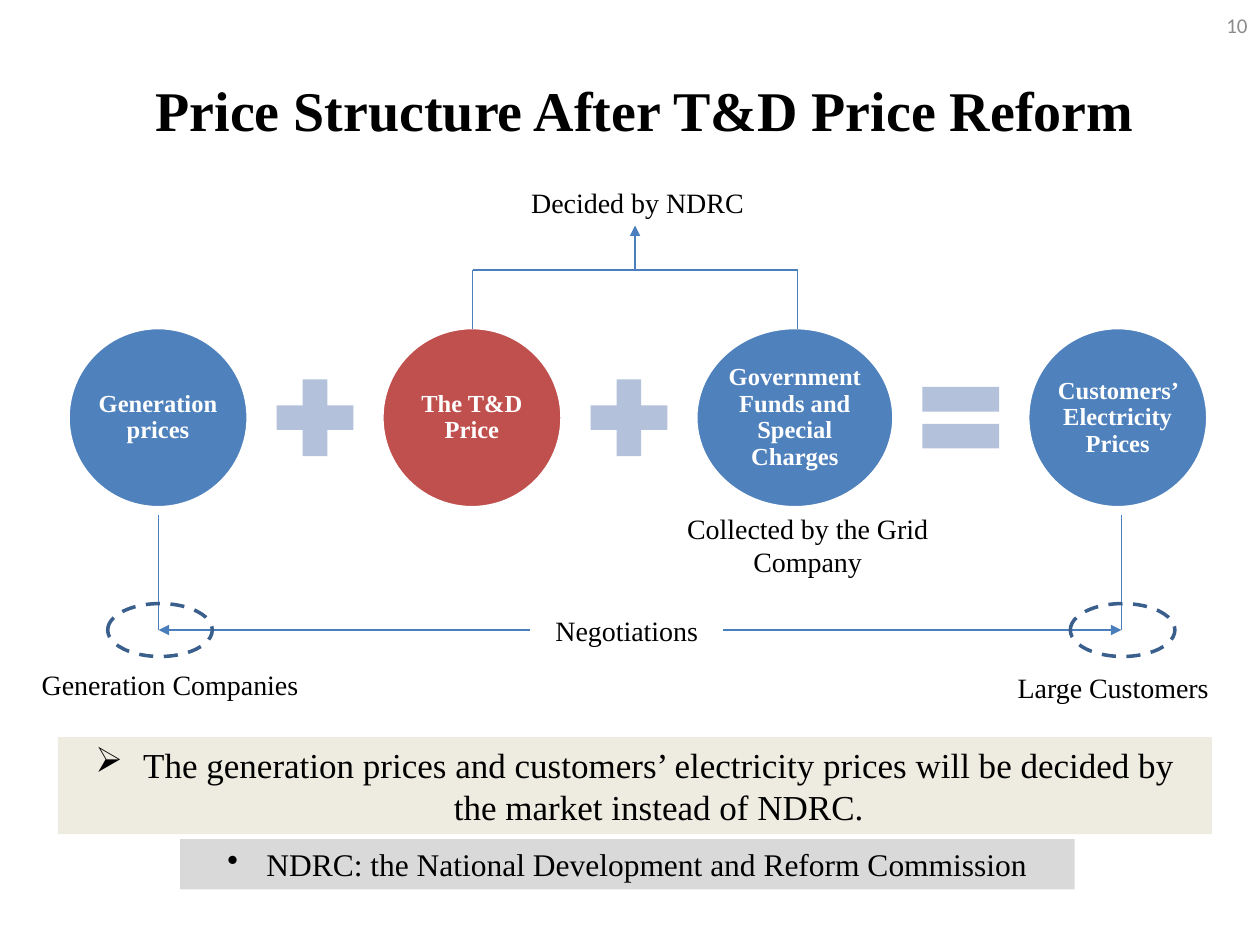
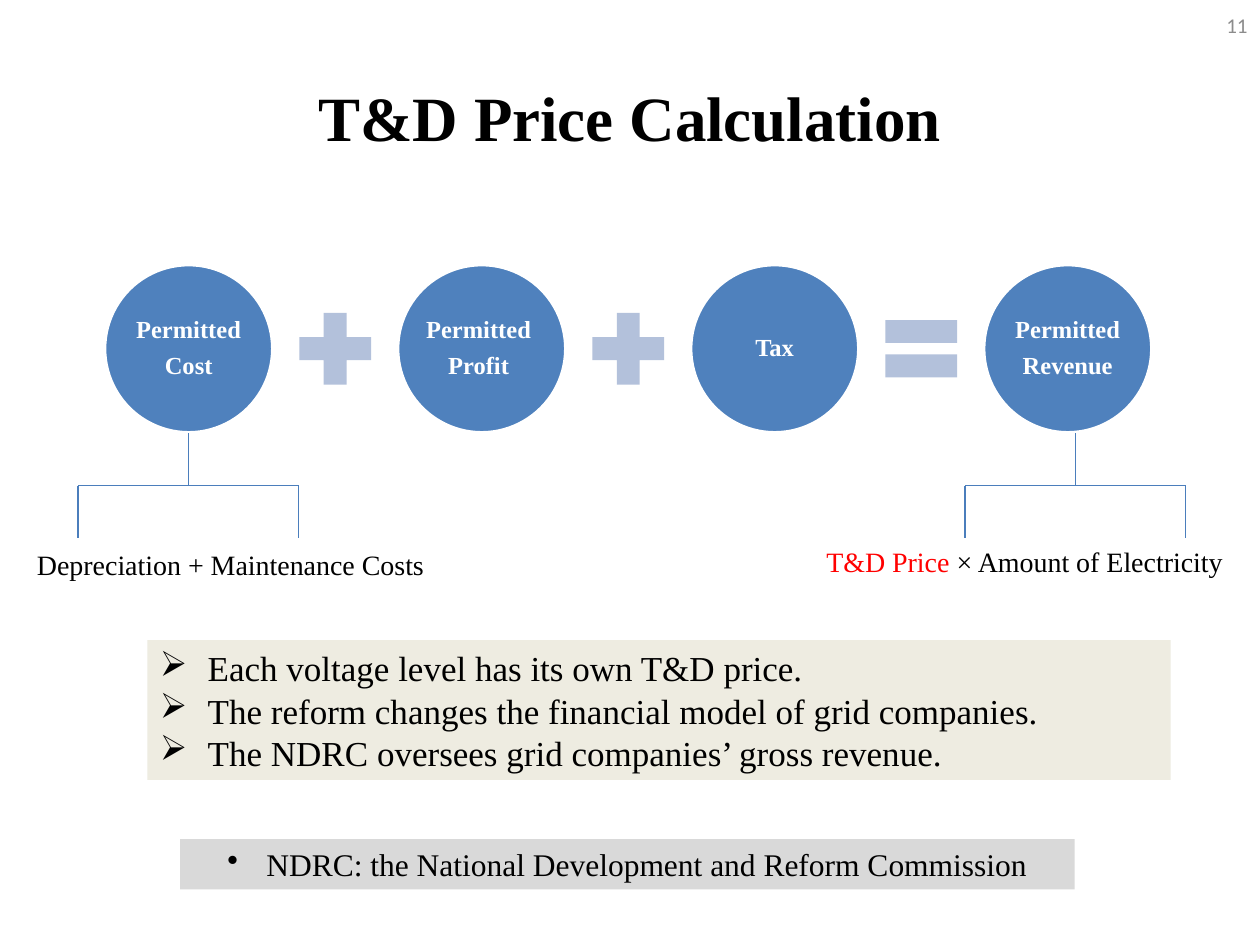
from dataclasses import dataclass

from lxml import etree
from pptx import Presentation, util as u
from pptx.dml.color import RGBColor
from pptx.enum import dml, shapes, text
from pptx.oxml.ns import qn

CELL = u.Inches(0.1)  # the slide is a grid of 100 columns by 75 rows
COLUMNS, ROWS = 100, 75


@dataclass(frozen=True)
class Theme:
    serif: str = "Times New Roman"
    sans: str = "Calibri"
    ink: str = "000000"
    white: str = "FFFFFF"
    blue: str = "4F81BD"
    red: str = "C0504D"
    accent: str = "FF0000"
    sign: str = "B3C1DB"
    line: str = "4B7EBC"
    dash: str = "3A5F8C"
    number: str = "8C8C8C"
    sand: str = "EEECE1"
    grey: str = "D9D9D9"
    number_size: int = 12
    term_size: int = 14
    label_size: int = 16
    note_size: int = 18
    point_size: int = 20


THEME = Theme()


@dataclass(frozen=True)
class Box:
    """A rectangle in grid columns and rows."""
    left: float
    top: float
    width: float
    height: float

    @property
    def right(self):
        return self.left + self.width

    @property
    def bottom(self):
        return self.top + self.height

    @property
    def middle(self):
        return self.left + self.width / 2

    def emu(self):
        return [round(n * CELL) for n in (self.left, self.top, self.width, self.height)]


def centred(x, y, width, height):
    return Box(x - width / 2, y - height / 2, width, height)


def rgb(code):
    return RGBColor.from_string(code)


def style_span(span, size, color=THEME.ink, bold=False, font=THEME.serif):
    span.font.name, span.font.size = font, u.Pt(size)
    span.font.bold, span.font.color.rgb = bold, rgb(color)


def write(frame, lines, size, align=text.PP_ALIGN.CENTER, **look):
    frame.word_wrap = True
    frame.text = "\n".join(lines)
    for para in frame.paragraphs:
        para.alignment = align
        for span in para.runs:
            style_span(span, size, **look)
    return frame.paragraphs


def add_label(page, box, words, size=THEME.label_size, **look):
    frame = page.shapes.add_textbox(*box.emu()).text_frame
    return write(frame, [words], size, **look)[0]


def add_figure(page, kind, box, fill=None, outline=None):
    figure = page.shapes.add_shape(kind, *box.emu())
    figure.shadow.inherit = False
    if fill:
        figure.fill.solid()
        figure.fill.fore_color.rgb = rgb(fill)
    else:
        figure.fill.background()
    if outline:
        figure.line.color.rgb = rgb(outline)
        figure.line.width = u.Pt(2)
    else:
        figure.line.fill.background()
    return figure


def add_line(page, start, end, arrow=False):
    """Draw a thin line; an arrow points at its end."""
    ends = [round(n * CELL) for n in (*start, *end)]
    line = page.shapes.add_connector(shapes.MSO_CONNECTOR.STRAIGHT, *ends)
    line.line.color.rgb = rgb(THEME.line)
    line.line.width = u.Pt(0.75)
    props = line.element.spPr
    if arrow:
        etree.SubElement(props.find(qn("a:ln")), qn("a:tailEnd"), type="triangle")
    etree.SubElement(props, qn("a:effectLst"))


def add_bracket(page, box, bar_share, arrow=False):
    """Draw a stem at the top centre of the box and two legs below a bar."""
    bar = box.top + box.height * bar_share
    add_line(page, (box.left, bar), (box.right, bar))
    add_line(page, (box.middle, bar), (box.middle, box.top), arrow)
    for x in (box.left, box.right):
        add_line(page, (x, bar), (x, box.bottom))


def add_equation(page, left, top, size, terms):
    """Lay out circles of one height, joined by plus signs and a final equals sign."""
    gap, sign = 0.081 * size, 0.58 * size
    x = left
    for index, (lines, fill, stretch) in enumerate(terms):
        if index:
            last = index == len(terms) - 1
            kind = shapes.MSO_SHAPE.MATH_EQUAL if last else shapes.MSO_SHAPE.MATH_PLUS
            add_figure(page, kind, Box(x + gap, top + (size - sign) / 2, sign, sign), THEME.sign)
            x += sign + 2 * gap
        circle = add_figure(page, shapes.MSO_SHAPE.OVAL, Box(x, top, size * stretch, size),
                            fill, THEME.white)
        frame = circle.text_frame
        frame.margin_left = frame.margin_right = u.Inches(0.02)
        frame.margin_top = frame.margin_bottom = u.Inches(0.02)
        frame.vertical_anchor = text.MSO_ANCHOR.MIDDLE
        for para in write(frame, lines, THEME.term_size, color=THEME.white, bold=True):
            para.line_spacing = 0.9
            para.space_after = u.Pt(5.5)
        x += size * stretch


def add_banner(page, box, fill, lines, size, bullet, indent, align=text.PP_ALIGN.CENTER):
    """Add a filled band with bulleted lines and a hanging indent in inches."""
    frame = add_figure(page, shapes.MSO_SHAPE.RECTANGLE, box, fill).text_frame
    frame.vertical_anchor = text.MSO_ANCHOR.MIDDLE
    for para in write(frame, lines, size, align):
        props = para._p.get_or_add_pPr()
        props.set("marL", str(u.Inches(indent)))
        props.set("indent", str(-u.Inches(indent)))
        etree.SubElement(props, qn("a:buChar"), char=bullet)


def add_points(page, box, lines, align):
    add_banner(page, box, THEME.sand, lines, THEME.point_size, "➢", 0.38, align)


def add_page(deck, number, title, title_box, title_size):
    """Start a page with its title, page number and the shared footnote."""
    page = deck.slides.add_slide(deck.slide_layouts[5])
    holder = page.shapes.title
    holder.left, holder.top, holder.width, holder.height = title_box.emu()
    holder.text_frame.vertical_anchor = text.MSO_ANCHOR.MIDDLE
    write(holder.text_frame, [title], title_size, bold=True)

    corner = page.shapes.add_textbox(*Box(COLUMNS - 23.3, 0, 23.3, 4).emu()).text_frame
    corner.vertical_anchor = text.MSO_ANCHOR.MIDDLE
    write(corner, [str(number)], THEME.number_size, text.PP_ALIGN.RIGHT,
          color=THEME.number, font=THEME.sans)

    add_banner(page, Box(14.3, 66.6, 71, 4), THEME.grey,
               ["NDRC: the National Development and Reform Commission"],
               THEME.note_size, "•", 0.31)
    return page


def add_negotiations(page, box):
    """Link the two parties, whose axis is the bottom edge of the box."""
    axis = box.bottom
    word = Box(box.left + 29.5, axis - 1.8, 15.3, 3.7)
    add_label(page, word, "Negotiations")
    parties = [(box.left, word.left, "Generation Companies", 0.9, 4.35),
               (box.right, word.right, "Large Customers", -0.65, 4.55)]
    for x, inner, party, shift, drop in parties:
        add_line(page, (x, box.top), (x, axis))
        add_line(page, (inner, axis), (x, axis), arrow=True)
        oval = add_figure(page, shapes.MSO_SHAPE.OVAL, centred(x + 0.1, axis, 8.3, 4.2),
                          outline=THEME.dash)
        oval.line.dash_style = dml.MSO_LINE.DASH
        add_label(page, centred(x + shift, axis + drop, 22.4, 3.7), party)


def add_structure_page(deck):
    page = add_page(deck, 10, "Price Structure After T&D Price Reform",
                    Box(6.2, 2.4, 90, 12.5), 32)
    add_equation(page, 5.4, 26, 14.3, [
        (["Generation prices"], THEME.blue, 1),
        (["The T&D Price"], THEME.red, 1),
        (["Government Funds and Special Charges"], THEME.blue, 1.1),
        (["Customers’ Electricity Prices"], THEME.blue, 1),
    ])
    add_label(page, Box(40.8, 14.2, 19.6, 3.7), "Decided by NDRC")
    add_bracket(page, Box(37.5, 17.9, 25.8, 8.2), 0.43, arrow=True)
    add_label(page, Box(53.5, 40.1, 21.2, 6.4), "Collected by the Grid Company")
    add_negotiations(page, Box(12.6, 40.9, 76.4, 9.1))
    add_points(page, Box(4.6, 58.5, 91.6, 7.7), [
        "The generation prices and customers’ electricity prices will be decided by "
        "the market instead of NDRC."], text.PP_ALIGN.CENTER)


def add_calculation_page(deck):
    page = add_page(deck, 11, "T&D Price Calculation", Box(5, 3, 90, 12.5), 36)
    terms = [["Permitted", "Cost"], ["Permitted ", "Profit "], ["Tax"], ["Permitted", "Revenue"]]
    add_equation(page, 8.3, 21, 13.35, [(lines, THEME.blue, 1) for lines in terms])
    for left in (6.2, 76.6):
        add_bracket(page, Box(left, 34.4, 17.5, 8.3), 0.5)
    add_label(page, Box(1.7, 43, 33.2, 3.7), "Depreciation + Maintenance Costs")
    revenue = add_label(page, Box(63.6, 42.7, 36, 3.7), "T&D Price ", color=THEME.accent)
    amount = revenue.add_run()
    amount.text = "× Amount of Electricity "
    style_span(amount, THEME.label_size)
    add_points(page, Box(11.7, 50.8, 81.2, 11.1), [
        "Each voltage level has its own T&D price.",
        "The reform changes the financial model of grid companies.",
        "The NDRC oversees grid companies’ gross revenue."], text.PP_ALIGN.LEFT)


def main():
    deck = Presentation()
    deck.slide_width, deck.slide_height = COLUMNS * CELL, ROWS * CELL
    add_structure_page(deck)
    add_calculation_page(deck)
    deck.save("out.pptx")


if __name__ == "__main__":
    main()
